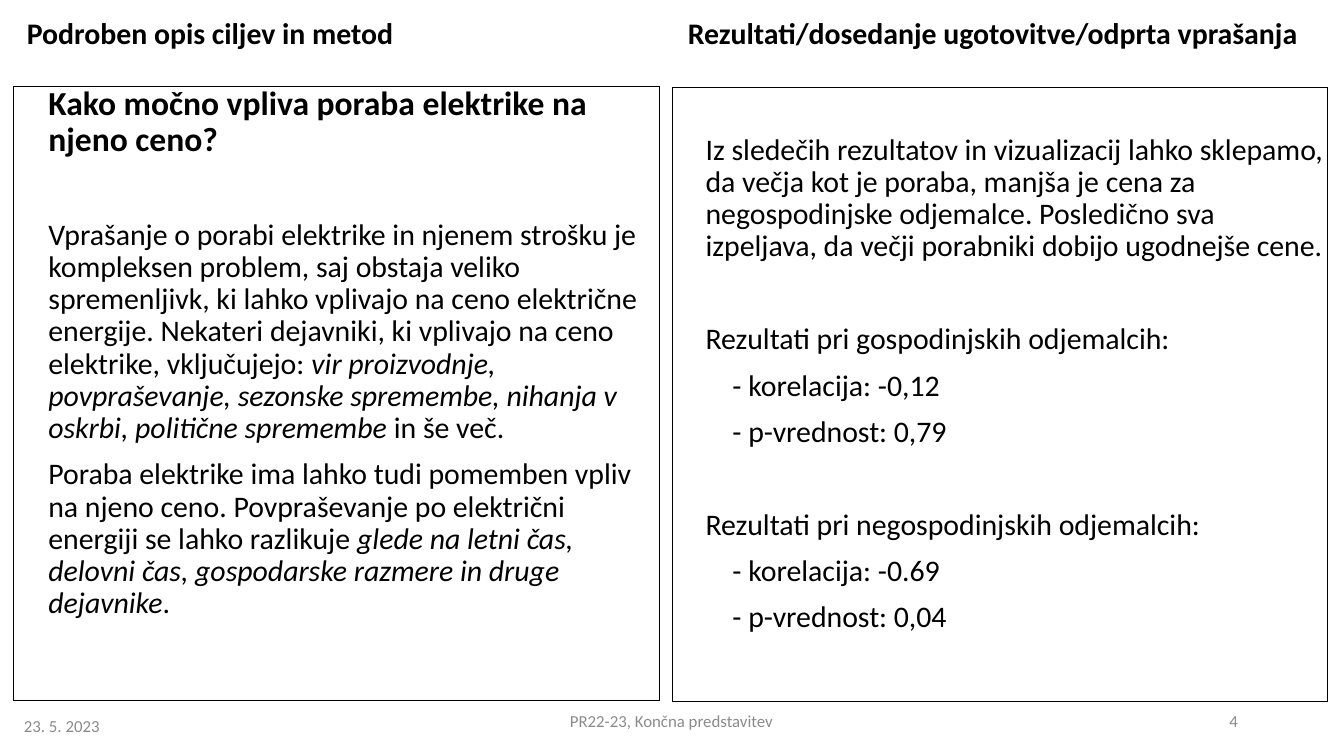
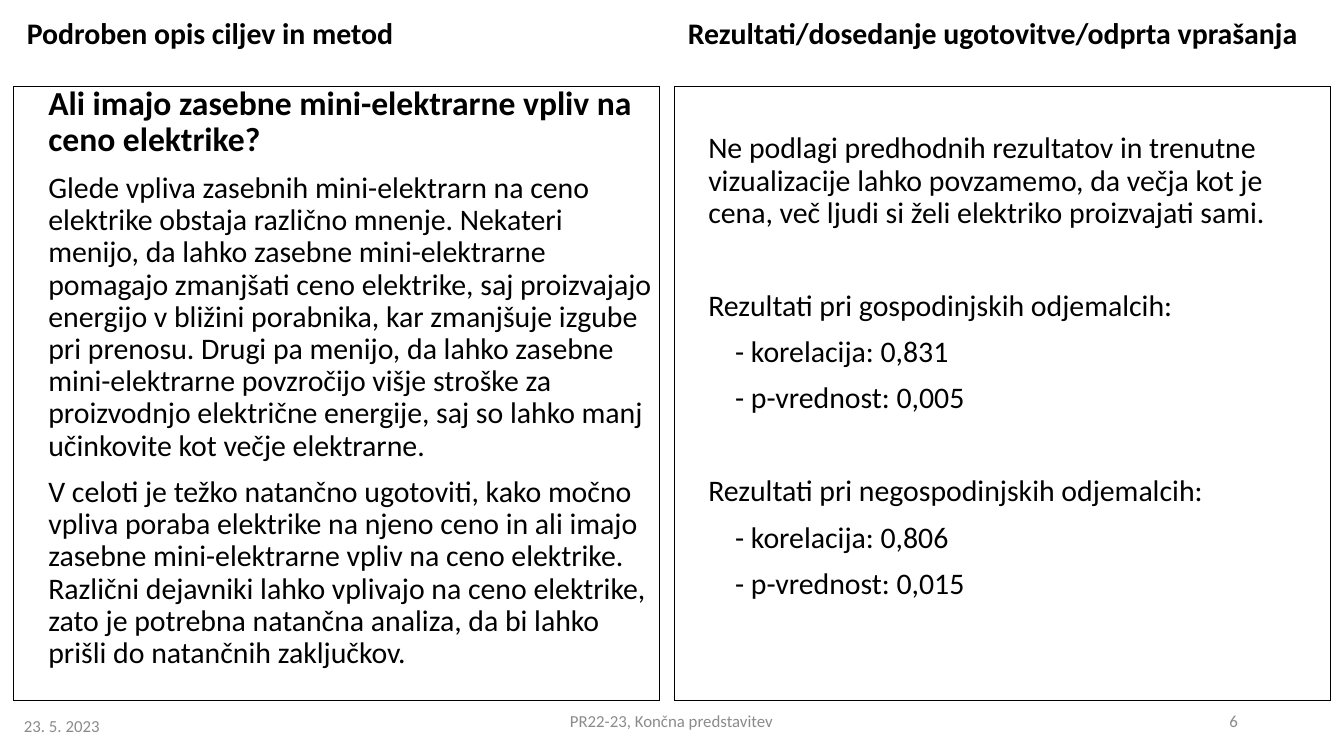
import pptx
import pptx.dml.color
import pptx.enum.text
import pptx.oxml.xmlchemy
import pptx.util
from lxml import etree

Inches, Pt = pptx.util.Inches, pptx.util.Pt
ALIGN = pptx.enum.text.PP_ALIGN
ANCHOR = pptx.enum.text.MSO_ANCHOR

BLACK = pptx.dml.color.RGBColor(0x00, 0x00, 0x00)
GREY = pptx.dml.color.RGBColor(0x8B, 0x8B, 0x8B)
FONT = "Calibri"

WIDTH, HEIGHT = 10, 5.625
MARGIN = 0.1
LEFT_WIDTH, RIGHT_WIDTH = 4.81, 4.88
RIGHT_X = WIDTH - MARGIN - RIGHT_WIDTH
HEADING_TOP, HEADING_HEIGHT = 0.09, 0.41
PANEL_TOP, PANEL_HEIGHT = 0.64, 4.57
FOOTER_TOP, FOOTER_HEIGHT = 5.21, 0.3

SPACE, GAP = 7.5, 32.6  # points before a paragraph, and before a new section
ITEM_INDENT = 0.2
HEADINGS = ["Podroben opis ciljev in metod",
            "Rezultati/dosedanje ugotovitve/odprta vprašanja"]
DATE, EVENT = "23. 5. 2023", "PR22-23, Končna predstavitev"

# Asterisks enclose italic words. Correlations and p-values are listed per customer group.
topics = [
    {
        "number": "4",
        "question": "Kako močno vpliva poraba elektrike na njeno ceno?",
        "space_after_question": GAP,
        "explanation": [
            "Vprašanje o porabi elektrike in njenem strošku je kompleksen problem, saj obstaja "
            "veliko spremenljivk, ki lahko vplivajo na ceno električne energije. Nekateri "
            "dejavniki, ki vplivajo na ceno elektrike, vključujejo: *vir proizvodnje, "
            "povpraševanje, sezonske spremembe, nihanja v oskrbi, politične spremembe *"
            "in še več.",
            "Poraba elektrike ima lahko tudi pomemben vpliv na njeno ceno. Povpraševanje po "
            "električni energiji se lahko razlikuje *glede na letni čas, delovni čas, "
            "gospodarske razmere in druge dejavnike*.",
        ],
        "finding": "Iz sledečih rezultatov in vizualizacij lahko sklepamo, da večja kot je "
                   "poraba, manjša je cena za negospodinjske odjemalce. Posledično sva "
                   "izpeljava, da večji porabniki dobijo ugodnejše cene.",
        "results": {"gospodinjskih": ("-0,12", "0,79"), "negospodinjskih": ("-0.69", "0,04")},
        "findings_at": (5, 0.65),
    },
    {
        "number": "6",
        "question": "Ali imajo zasebne mini-elektrarne vpliv na ceno elektrike?",
        "space_after_question": SPACE,
        "explanation": [
            "Glede vpliva zasebnih mini-elektrarn na ceno elektrike obstaja različno mnenje. "
            "Nekateri menijo, da lahko zasebne mini-elektrarne pomagajo zmanjšati ceno "
            "elektrike, saj proizvajajo energijo v bližini porabnika, kar zmanjšuje izgube pri "
            "prenosu. Drugi pa menijo, da lahko zasebne mini-elektrarne povzročijo višje "
            "stroške za proizvodnjo električne energije, saj so lahko manj učinkovite kot "
            "večje elektrarne.",
            "V celoti je težko natančno ugotoviti, kako močno vpliva poraba elektrike na njeno "
            "ceno in ali imajo zasebne mini-elektrarne vpliv na ceno elektrike. Različni "
            "dejavniki lahko vplivajo na ceno elektrike, zato je potrebna natančna analiza, da "
            "bi lahko prišli do natančnih zaključkov.",
        ],
        "finding": "Ne podlagi predhodnih rezultatov in trenutne vizualizacije lahko "
                   "povzamemo, da večja kot je cena, več ljudi si želi elektriko proizvajati "
                   "sami.",
        "results": {"gospodinjskih": ("0,831", "0,005"), "negospodinjskih": ("0,806", "0,015")},
        "findings_at": (RIGHT_X, PANEL_TOP),
    },
]


def place(shape, left, top, width, height, anchor=ANCHOR.TOP):
    shape.left, shape.top = Inches(left), Inches(top)
    shape.width, shape.height = Inches(width), Inches(height)
    frame = shape.text_frame
    frame.word_wrap = True
    frame.auto_size = pptx.enum.text.MSO_AUTO_SIZE.NONE
    frame.vertical_anchor = anchor
    return frame


def write(paragraph, text, size=16, bold=False, color=BLACK, align=ALIGN.LEFT,
          before=SPACE, line_spacing=0.9, indent=0):
    """Fill a paragraph without a bullet; text between asterisks becomes italic."""
    for position, part in enumerate(text.split("*")):
        run = paragraph.add_run()
        run.text = part
        if position % 2:
            run.font.italic = True
    paragraph.alignment = align
    paragraph.line_spacing = line_spacing
    paragraph.space_before = Pt(before)
    font = paragraph.font
    font.name, font.size, font.bold = FONT, Pt(size), bold
    font.color.rgb = color
    properties = paragraph._p.get_or_add_pPr()
    properties.set("marL", str(Inches(indent)))
    properties.set("indent", "0")
    no_bullet = etree.Element(pptx.oxml.ns.qn("a:buNone"))
    properties.find(pptx.oxml.ns.qn("a:defRPr")).addprevious(no_bullet)


deck = pptx.Presentation()
deck.slide_width, deck.slide_height = Inches(WIDTH), Inches(HEIGHT)
two_content = deck.slide_layouts[3]

for topic in topics:
    slide = deck.slides.add_slide(two_content)
    goals, findings = slide.placeholders[1], slide.placeholders[2]

    columns = [(slide.shapes.title, MARGIN, LEFT_WIDTH),
               (slide.shapes.add_textbox(0, 0, 0, 0), RIGHT_X, RIGHT_WIDTH)]
    for (heading, left, width), text in zip(columns, HEADINGS):
        frame = place(heading, left, HEADING_TOP, width, HEADING_HEIGHT)
        write(frame.paragraphs[0], text, bold=True)

    goals_frame = place(goals, MARGIN, PANEL_TOP, LEFT_WIDTH, PANEL_HEIGHT)
    findings_frame = place(findings, *topic["findings_at"], RIGHT_WIDTH, PANEL_HEIGHT)
    for panel in (goals, findings):
        panel.line.color.rgb = BLACK
        panel.line.width = Pt(0)
        frame = panel.text_frame
        frame.margin_left = frame.margin_right = frame.margin_top = frame.margin_bottom = 0
    findings_frame.margin_top = Inches(0.35)

    write(goals_frame.paragraphs[0], topic["question"], size=18, bold=True, indent=0.26)
    before = topic["space_after_question"]
    for text in topic["explanation"]:
        write(goals_frame.add_paragraph(), text, before=before, indent=0.26)
        before = SPACE

    write(findings_frame.paragraphs[0], topic["finding"], indent=0.25)
    for group, (correlation, p_value) in topic["results"].items():
        write(findings_frame.add_paragraph(), f"Rezultati pri {group} odjemalcih:",
              before=GAP, indent=0.25)
        for item in (f"- korelacija: {correlation}", f"- p-vrednost: {p_value}"):
            write(findings_frame.add_paragraph(), item, indent=0.25 + ITEM_INDENT)

    for text, left, top, width, align in [
        (DATE, 0.08, FOOTER_TOP + 0.04, 4.1, ALIGN.LEFT),
        (EVENT, 3.31, FOOTER_TOP, 3.37, ALIGN.CENTER),
        (topic["number"], 7.06, FOOTER_TOP, 2.25, ALIGN.RIGHT),
    ]:
        footer = slide.shapes.add_textbox(0, 0, 0, 0)
        frame = place(footer, left, top, width, FOOTER_HEIGHT, ANCHOR.MIDDLE)
        write(frame.paragraphs[0], text, size=9, color=GREY, align=align,
              before=0, line_spacing=1.0)

deck.save("out.pptx")
